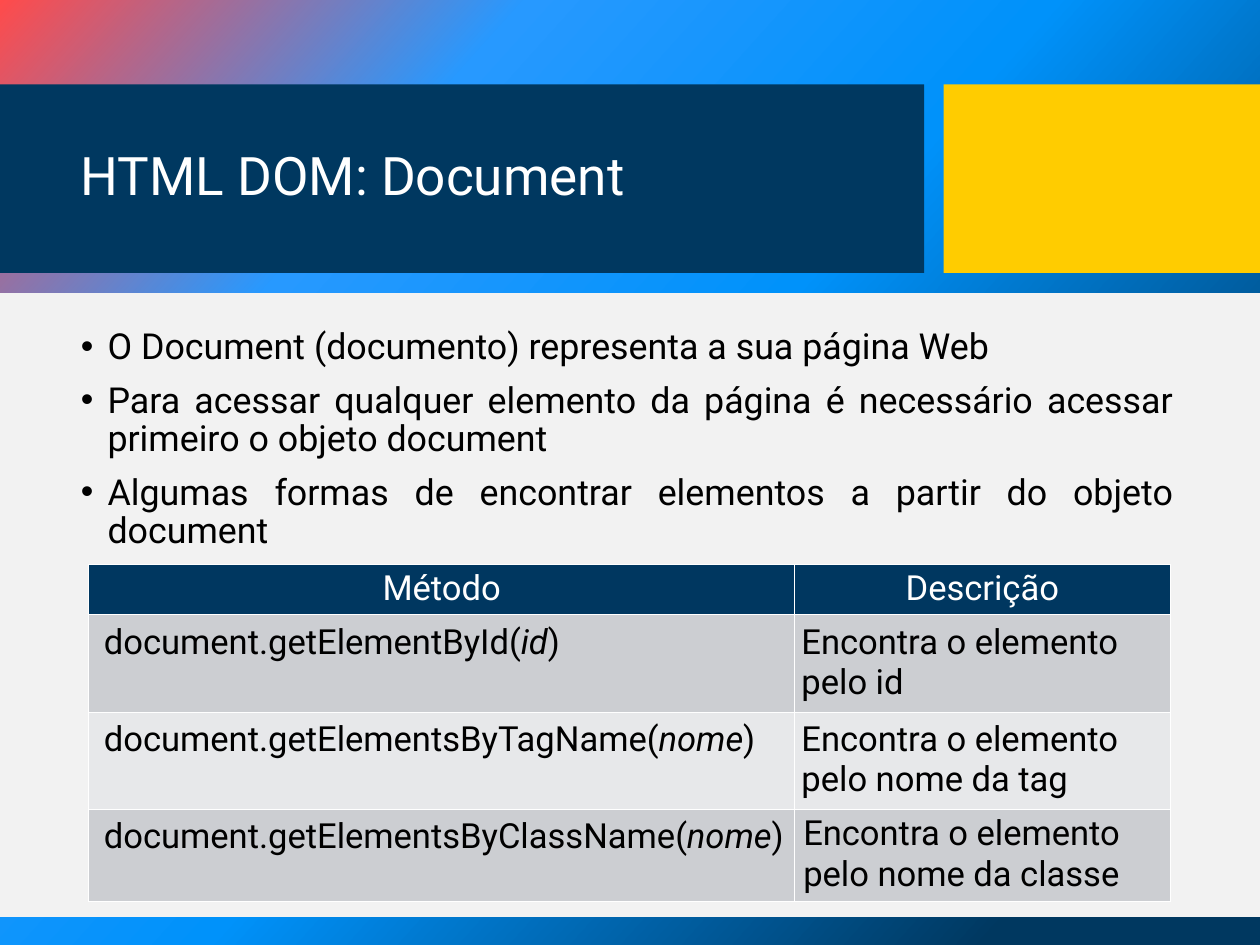
from lxml import etree
from pptx import Presentation
from pptx.dml.color import RGBColor as RGB
from pptx.enum.shapes import MSO_SHAPE as SHAPE
from pptx.enum.text import MSO_ANCHOR as ANCHOR, PP_ALIGN as ALIGN
from pptx.oxml.ns import qn
from pptx.util import Inches, Pt

COLORS = {
    "navy": "003860", "yellow": "FFCC00", "panel": "F2F2F2",
    "white": "FFFFFF", "black": "000000", "header": "003760",
    "odd": "CCCED2", "even": "E7E8EA",
}
GRADIENT = [(0, "FF4B4B"), (25, "2799FF"), (50, "0092FA"),
            (87, "003860"), (100, "003860")]
BULLETS = [
    "O Document (documento) representa a sua página Web",
    "Para acessar qualquer elemento da página é necessário acessar primeiro o objeto document",
    "Algumas formas de encontrar elementos a partir do objeto document",
]
HEADERS = ["Método", "Descrição"]
METHODS = [
    ("getElementById", "id", "Encontra o elemento pelo id"),
    ("getElementsByTagName", "nome", "Encontra o elemento pelo nome da tag"),
    ("getElementsByClassName", "nome", "Encontra o elemento pelo nome da classe"),
]
COLUMNS = [7.94, 4.23]
ROWS = [0.54, 1.08, 1.08, 1.02]


def apply(obj, formats):
    for name, value in formats.items():
        setattr(obj, name, value)


def margins(left, top, right, bottom):
    return {"margin_left": Inches(left), "margin_top": Inches(top),
            "margin_right": Inches(right), "margin_bottom": Inches(bottom)}


def color(name):
    return RGB.from_string(COLORS[name])


class Deck:
    font = "Roboto"
    frame = {"word_wrap": True, **margins(0.12, 0.06, 0.12, 0.06)}

    def __init__(self, width, height):
        self.prs = Presentation()
        apply(self.prs, {"slide_width": Inches(width), "slide_height": Inches(height)})
        self.s = self.prs.slides.add_slide(self.prs.slide_layouts[5])

    def background(self, stops, angle):
        fill = self.s.background.fill
        fill.gradient()
        fill.gradient_angle = 360 - angle
        gs_list = next(self.s.element.iter(qn("a:gsLst")))
        for gs in list(gs_list):
            gs_list.remove(gs)
        for pos, rgb in stops:
            gs = etree.SubElement(gs_list, qn("a:gs"), pos=str(pos * 1000))
            etree.SubElement(gs, qn("a:srgbClr"), val=rgb)

    def rect(self, box, fill, line=None):
        sp = self.s.shapes.add_shape(SHAPE.RECTANGLE, *map(Inches, box))
        sp.shadow.inherit = False
        sp.fill.solid()
        sp.fill.fore_color.rgb = color(fill)
        if line:
            sp.line.color.rgb = color(line)
            sp.line.width = Pt(1)
        else:
            sp.line.fill.background()

    def run(self, p, text, size, ink, italic=False):
        r = p.add_run()
        r.text = text
        apply(r.font, {"name": self.font, "size": Pt(size), "bold": False,
                       "italic": italic})
        r.font.color.rgb = color(ink)

    def title(self, text, box):
        sp = self.s.shapes.title
        apply(sp, dict(zip(("left", "top", "width", "height"), map(Inches, box))))
        sp.element.getparent().append(sp.element)
        tf = sp.text_frame
        apply(tf, {**self.frame, "vertical_anchor": ANCHOR.MIDDLE})
        p = tf.paragraphs[0]
        apply(p, {"alignment": ALIGN.LEFT, "line_spacing": 0.9})
        self.run(p, text, 43, "white")

    def bullets(self, items, box):
        tf = self.s.shapes.add_textbox(*map(Inches, box)).text_frame
        apply(tf, self.frame)
        for i, text in enumerate(items):
            p = tf.add_paragraph() if i else tf.paragraphs[0]
            apply(p, {"alignment": ALIGN.JUSTIFY, "line_spacing": 0.9,
                      "space_before": Pt(11.9)})
            self.run(p, text, 29, "black")
            ppr = p._p.get_or_add_pPr()
            ppr.set("marL", str(Inches(0.3)))
            ppr.set("indent", str(Inches(-0.3)))
            etree.SubElement(ppr, qn("a:buFont"), typeface="Arial")
            etree.SubElement(ppr, qn("a:buChar"), char="•")

    def table(self, left, top, columns, rows):
        box = map(Inches, (left, top, sum(columns), sum(rows)))
        table = self.s.shapes.add_table(len(rows), len(columns), *box).table
        apply(table, {"first_row": True, "horz_banding": False})
        for col, width in zip(table.columns, columns):
            col.width = Inches(width)
        for row, height in zip(table.rows, rows):
            row.height = Inches(height)
        return table

    def cell(self, cell, runs, fill, ink="black", align=ALIGN.LEFT, insets=None):
        p = cell.text_frame.paragraphs[0]
        p.alignment = align
        for text, italic in runs:
            self.run(p, text, 28, ink, italic)
        apply(cell, margins(*(insets or (0.1, 0.05, 0.1, 0.05))))
        tcpr = cell._tc.get_or_add_tcPr()
        for side in ("lnL", "lnR", "lnT", "lnB"):
            ln = etree.SubElement(tcpr, qn(f"a:{side}"), w=str(Pt(1)))
            solid = etree.SubElement(ln, qn("a:solidFill"))
            etree.SubElement(solid, qn("a:srgbClr"), val=COLORS["white"])
        cell.fill.solid()
        cell.fill.fore_color.rgb = color(fill)


def main():
    deck = Deck(14.18, 10.63)
    deck.background(GRADIENT, 42)
    deck.rect((0, 0.95, 10.4, 2.12), "navy")
    deck.rect((10.62, 0.95, 3.56, 2.12), "yellow")
    deck.rect((0, 3.3, 14.18, 7.01), "panel", "panel")
    deck.title("HTML DOM: Document", (0.79, 1.17, 9.32, 1.68))
    deck.bullets(BULLETS, (0.79, 3.64, 12.55, 6.54))

    table = deck.table(1, 6.35, COLUMNS, ROWS)
    for i, text in enumerate(HEADERS):
        deck.cell(table.cell(0, i), [(text, False)], "header", "white", ALIGN.CENTER)
    for i, (method, arg, description) in enumerate(METHODS, 1):
        fill = "odd" if i % 2 else "even"
        call = [(f"document.{method}(", False), (arg, True), (")", False)]
        insets = (0.08,) * 4 if i < len(METHODS) else None
        deck.cell(table.cell(i, 0), call, fill, insets=(0.17, 0.08, 0.08, 0.08))
        deck.cell(table.cell(i, 1), [(description, False)], fill, insets=insets)

    deck.prs.save("out.pptx")


if __name__ == "__main__":
    main()
